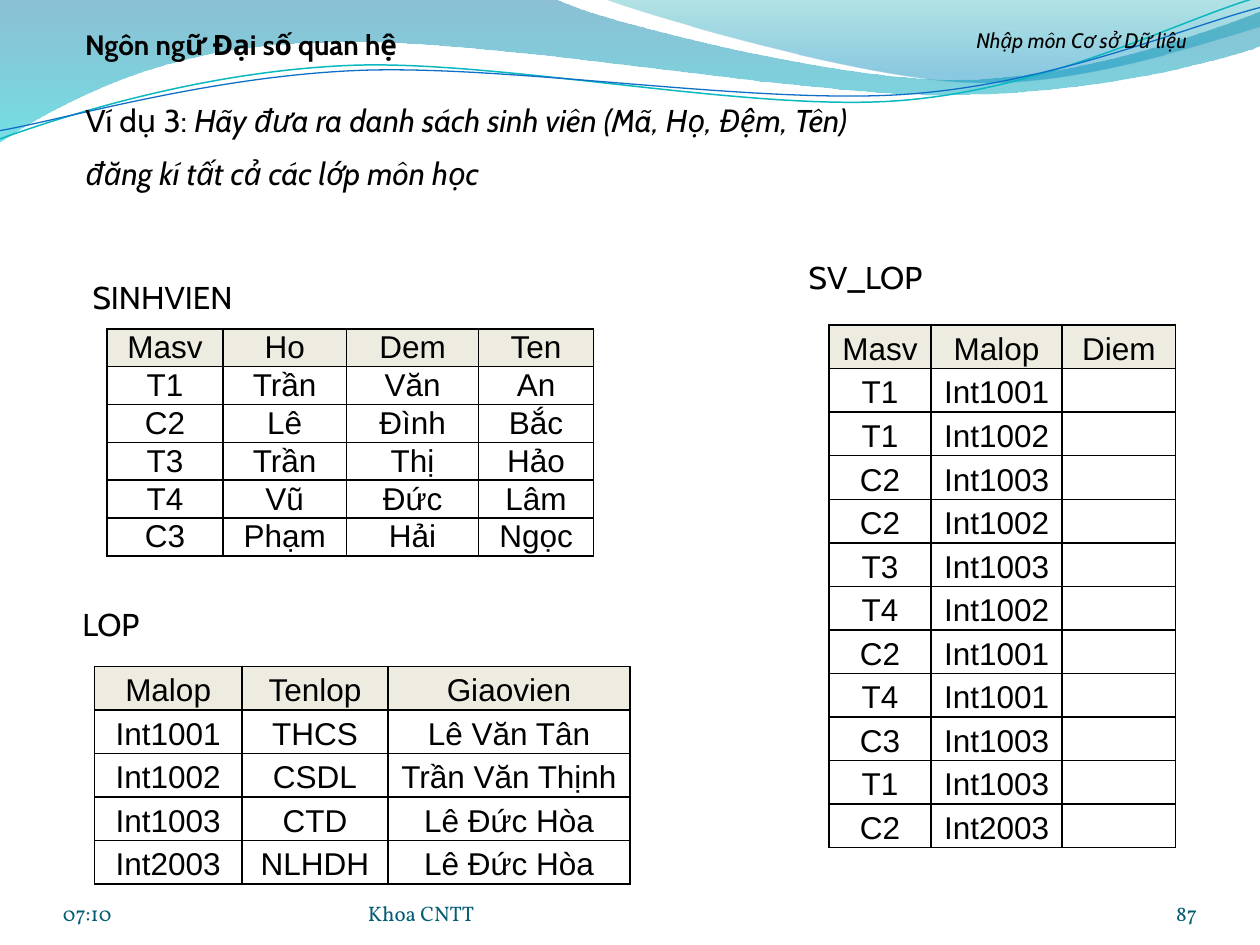
from lxml.etree import SubElement
from pptx import Presentation
from pptx.dml.color import RGBColor
from pptx.enum.text import MSO_ANCHOR, MSO_AUTO_SIZE, PP_ALIGN
from pptx.oxml.ns import qn
from pptx.util import Inches, Pt

BLACK = RGBColor(0x00, 0x00, 0x00)
FOOTER_TEAL = RGBColor(0x04, 0x5D, 0x75)
HEADER_BEIGE = RGBColor(0xEE, 0xEC, 0xE1)
DEEP_BLUE = RGBColor(0x00, 0x74, 0xA1)
CYAN = RGBColor(0x00, 0xC6, 0xCF)
SEA_GREEN = RGBColor(0x00, 0xA1, 0xA9)
SKY_BLUE = RGBColor(0x00, 0x8B, 0xBF)
LINE_TEAL = RGBColor(0x0A, 0xB8, 0xBF)
LINE_BLUE = RGBColor(0x0F, 0x6F, 0xC6)


def draw_wave(shapes, start, segments, close):
    """Draw an outline whose segments are (x, y) lines or six-number Bezier curves."""
    corners = [(Inches(segment[i]), Inches(segment[i + 1]))
               for segment in segments for i in range(0, len(segment), 2)]
    builder = shapes.build_freeform(Inches(start[0]), Inches(start[1]))
    builder.add_line_segments(corners, close=close)
    wave = builder.convert_to_shape()
    wave.shadow.inherit = False
    # Join each group of three points into one cubic curve
    steps = iter(list(wave.element.iter(qn("a:lnTo"))))
    for segment in segments:
        step = next(steps)
        if len(segment) == 6:
            step.tag = qn("a:cubicBezTo")
            for _ in range(2):
                control = next(steps)
                control.getparent().remove(control)
                step.append(control[0])
    return wave


def write(frame, paragraphs, size, font="Cabin", color=BLACK, align=PP_ALIGN.CENTER):
    """Fill a text frame; each paragraph is a list of (text, bold, italic) runs."""
    for index, runs in enumerate(paragraphs):
        paragraph = frame.add_paragraph() if index else frame.paragraphs[0]
        paragraph.alignment = align
        if index:
            paragraph.space_before = Pt(size / 2)
        for text, bold, italic in runs:
            run = paragraph.add_run()
            run.text = text
            run.font.name, run.font.size = font, Pt(size)
            run.font.bold, run.font.italic = bold, italic
            run.font.color.rgb = color


prs = Presentation()
prs.slide_width, prs.slide_height = Inches(10), Inches(7.5)
slide = prs.slides.add_slide(prs.slide_layouts[5])
shapes = slide.shapes

# Translucent waves across the top: start, segments, (stop, colour, opacity in %)
bands = [
    ((0, -0.01),
     [(4.4, -0.01), (4.76, 0.17, 6.64, 0.63, 7.58, 0.63),
      (8.53, 0.63, 9.58, 0.26, 10, 0.09), (10.01, 0.36),
      (9.83, 0.44, 8.7, 0.76, 7.46, 0.75), (6.22, 0.75, 3.82, 0.28, 2.57, 0.34),
      (1.29, 0.35, 0.46, 0.83, -0.01, 1.13)],
     [(0, DEEP_BLUE, 45), (100, CYAN, 55)]),
    ((4.79, -0.01),
     [(5.09, 0.11, 6.82, 0.62, 7.69, 0.65), (8.56, 0.69, 9.61, 0.32, 10, 0.21), (10, 0)],
     [(0, SEA_GREEN, 30), (80, SKY_BLUE, 45)]),
]
for start, segments, stops in bands:
    band = draw_wave(shapes, start, segments, close=True)
    band.line.fill.background()
    band.fill.gradient()
    band.fill.gradient_angle = 270
    stop_elements = band.element.iter(qn("a:gs"))
    for stop, element, (position, color, opacity) in zip(
            band.fill.gradient_stops, stop_elements, stops):
        stop.color.rgb = color
        element.set("pos", str(position * 1000))
        SubElement(element[0], qn("a:alpha")).set("val", str(opacity * 1000))

# Thin wave lines
wave_lines = [
    ((-0.02, 1.11),
     [(0.48, 0.93, 1.58, 0.57, 2.77, 0.52), (3.95, 0.47, 5.93, 0.89, 7.13, 0.8),
      (8.33, 0.71, 9.38, 0.15, 9.98, -0.02)], LINE_TEAL, 0.85),
    ((-0.02, 1.04),
     [(0.47, 0.96, 1.64, 0.61, 2.83, 0.56), (4.03, 0.51, 5.97, 0.83, 7.17, 0.75),
      (8.36, 0.67, 9.41, 0.21, 10, 0.06)], LINE_BLUE, 0.75),
]
for start, segments, color, width in wave_lines:
    wave_line = draw_wave(shapes, start, segments, close=False)
    wave_line.fill.background()
    wave_line.line.color.rgb = color
    wave_line.line.width = Pt(width)

# Title, brought in front of the waves
title = shapes.title
title.left, title.top, title.width, title.height = map(Inches, (0.25, 0.17, 3.33, 0.37))
title.text_frame.vertical_anchor = MSO_ANCHOR.TOP
title.text_frame.auto_size = MSO_AUTO_SIZE.NONE
write(title.text_frame, [[("Ngôn ngữ Đại số quan hệ", True, False)]], 16)
title.element.getparent().append(title.element)

# Course name and table captions
labels = [
    ("Nhập môn Cơ sở Dữ liệu", 7.17, 0.17, 2.83, 12, True),
    ("SINHVIEN", 0.58, 2.16, 1.42, 18, False),
    ("SV_LOP", 6.16, 2, 1.42, 18, False),
    ("LOP", 0.34, 4.75, 1.08, 18, False),
]
for text, left, top, width, size, italic in labels:
    label = shapes.add_textbox(Inches(left), Inches(top), Inches(width), Inches(0.4))
    label.text_frame.word_wrap = True
    write(label.text_frame, [[(text, False, italic)]], size)

# Example question
question = shapes.add_textbox(Inches(0.58), Inches(0.75), Inches(7.07), Inches(1.31))
question.text_frame.word_wrap = True
write(question.text_frame, [
    [("Ví dụ 3: ", False, False),
     ("Hãy đưa ra danh sách sinh viên (Mã, Họ, Đệm, Tên) ", False, True)],
    [("đăng kí tất cả các lớp môn học", False, True)],
], 18, align=PP_ALIGN.LEFT)

# Relations: left, top, height, line spacing, column widths, rows
relations = [
    (0.85, 2.61, 1.8, 1.0, [0.92, 0.98, 1.05, 0.91],
     [("Masv", "Ho", "Dem", "Ten"),
      ("T1", "Trần", "Văn", "An"),
      ("C2", "Lê", "Đình", "Bắc"),
      ("T3", "Trần", "Thị", "Hảo"),
      ("T4", "Vũ", "Đức", "Lâm"),
      ("C3", "Phạm", "Hải", "Ngọc")]),
    (6.58, 2.58, 4.15, 1.15, [0.81, 1.04, 0.9],
     [("Masv", "Malop", "Diem"),
      ("T1", "Int1001", ""), ("T1", "Int1002", ""), ("C2", "Int1003", ""),
      ("C2", "Int1002", ""), ("T3", "Int1003", ""), ("T4", "Int1002", ""),
      ("C2", "Int1001", ""), ("T4", "Int1001", ""), ("C3", "Int1003", ""),
      ("T1", "Int1003", ""), ("C2", "Int2003", "")]),
    (0.75, 5.29, 1.72, 1.15, [1.17, 1.16, 1.92],
     [("Malop", "Tenlop", "Giaovien"),
      ("Int1001", "THCS", "Lê Văn Tân"),
      ("Int1002", "CSDL", "Trần Văn Thịnh"),
      ("Int1003", "CTD", "Lê Đức Hòa"),
      ("Int2003", "NLHDH", "Lê Đức Hòa")]),
]
for left, top, height, spacing, widths, rows in relations:
    relation = shapes.add_table(len(rows), len(widths), Inches(left), Inches(top),
                                Inches(sum(widths)), Inches(height)).table
    relation.first_row = relation.horz_banding = False
    for column, width in zip(relation.columns, widths):
        column.width = Inches(width)
    for r, row in enumerate(rows):
        for c, text in enumerate(row):
            cell = relation.cell(r, c)
            cell.vertical_anchor = MSO_ANCHOR.MIDDLE
            cell.margin_left = cell.margin_right = Inches(0.07)
            cell.margin_top = cell.margin_bottom = 0
            properties = cell._tc.get_or_add_tcPr()
            for side in ("a:lnL", "a:lnR", "a:lnT", "a:lnB"):
                border = SubElement(properties, qn(side), w=str(Pt(1)))
                border_fill = SubElement(border, qn("a:solidFill"))
                SubElement(border_fill, qn("a:srgbClr"), val=str(BLACK))
            if r == 0:
                cell.fill.solid()
                cell.fill.fore_color.rgb = HEADER_BEIGE
            else:
                cell.fill.background()
            if text:
                write(cell.text_frame, [[(text, False, False)]], 18, "Arial")
                cell.text_frame.paragraphs[0].line_spacing = spacing

# Footer: time, department, slide number
footers = [
    ("07:10", 0.5, 2.33, PP_ALIGN.LEFT),
    ("Khoa CNTT", 2.92, 3.67, PP_ALIGN.LEFT),
    ("87", 8.67, 0.83, PP_ALIGN.RIGHT),
]
for text, left, width, align in footers:
    footer = shapes.add_textbox(Inches(left), Inches(6.95), Inches(width), Inches(0.4))
    frame = footer.text_frame
    frame.word_wrap = True
    frame.vertical_anchor = MSO_ANCHOR.BOTTOM
    frame.margin_left = frame.margin_right = frame.margin_top = frame.margin_bottom = 0
    write(frame, [[(text, False, False)]], 12, "Vollkorn", FOOTER_TEAL, align)

prs.save("out.pptx")
